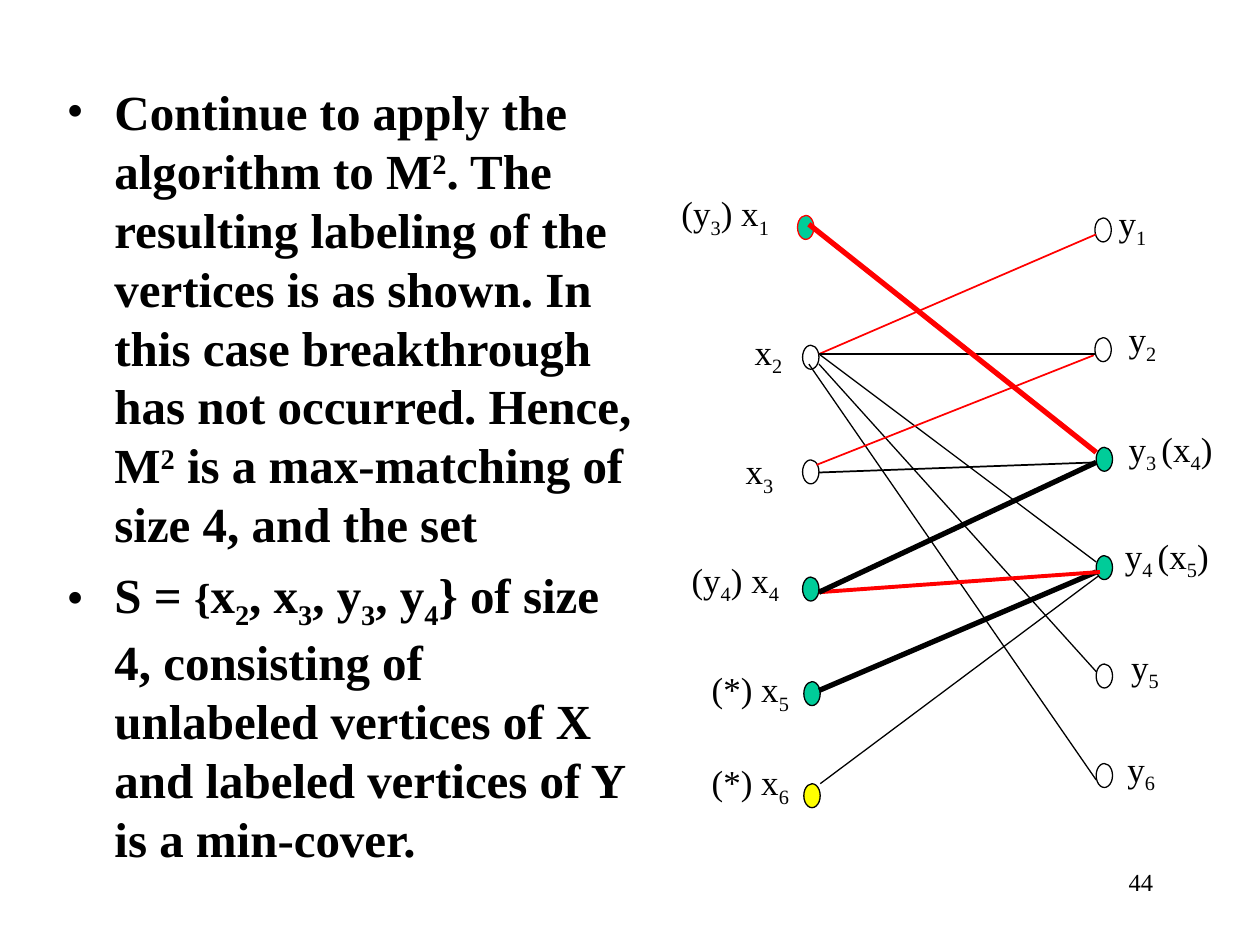
from dataclasses import dataclass
from lxml.etree import SubElement
from pptx import Presentation
from pptx.dml.color import RGBColor
from pptx.enum.shapes import MSO_CONNECTOR, MSO_SHAPE
from pptx.enum.text import PP_ALIGN
from pptx.oxml.ns import qn
from pptx.util import Inches, Pt


@dataclass(frozen=True)
class Theme:
    """Colours, font and type sizes of the slide."""
    font: str = "Times New Roman"
    ink: str = "000000"
    red: str = "FF0000"
    green: str = "00CC99"
    yellow: str = "FFFF00"
    body: int = 28
    brace: int = 24
    label: int = 20
    number: int = 14


T = Theme()
BASELINES = {"^": "30000", "_": "-25000"}
GRID = 0.1

BULLETS = [
    "Continue to apply the algorithm to M|^2|. The resulting labeling of the "
    "vertices is as shown. In this case breakthrough has not occurred. Hence, "
    "M|^2| is a max-matching of size 4, and the set",
    "S = |~{|x|_2|, x|_3|, y|_3|, y|_4|} of size 4, consisting of unlabeled "
    "vertices of X and labeled vertices of Y is a min-cover.",
]

NODES = [
    (13.3, 7.1, T.green, T.red), (13.7, 17.4, None, T.ink),
    (13.7, 26.5, None, T.ink), (13.7, 35.8, T.green, T.ink),
    (13.8, 44.1, T.green, T.ink), (13.8, 52.2, T.yellow, T.ink),
    (36.9, 7.3, None, T.ink), (36.9, 16.8, None, T.ink),
    (37, 25.5, T.green, T.ink), (37, 34.1, T.green, T.ink),
    (37, 42.7, None, T.ink), (37, 50.6, None, T.ink),
]

LABELS = [
    (3.1, 4.7, "(y|_3|) x|_1"), (8.9, 15.7, "x|_2"), (8.2, 25.2, "x|_3"),
    (3.9, 33.8, "(y|_4|) x|_4"), (5.5, 42.5, "(*) x|_5"), (5.5, 49.9, "(*) x|_6"),
    (37.8, 5.5, "y|_1"), (38.6, 14.7, "y|_2"), (38.6, 23.4, "y|_3 |(x|_4|)"),
    (38.3, 31.9, "y|_4 |(x|_5|)"), (38.8, 40.7, "y|_5"), (38.5, 48.8, "y|_6"),
]

EDGES = [
    (15, 18.1, 37, 8.6, T.red, 1), (15, 18.1, 37, 34.6, T.ink, 0.75),
    (15, 18.9, 37, 43.3, T.ink, 0.75), (14.2, 18.9, 37, 51.9, T.ink, 0.75),
    (14.8, 26.9, 36.8, 18.2, T.red, 1), (15, 27.5, 37, 26.7, T.ink, 1),
    (15.1, 52.2, 37.2, 35.7, T.ink, 0.75), (15, 18.1, 37, 18.1, T.ink, 1),
    (15, 44.8, 37, 35.4, T.ink, 3), (15, 37, 37.3, 35.4, T.red, 2.25),
    (15, 37, 37, 26.7, T.ink, 3), (14.2, 7.8, 37, 25.9, T.red, 3),
]


def rgb(color):
    """Turn a hex string into a colour."""
    return RGBColor.from_string(color)


def add_bullet(p, indent):
    """Give a paragraph a hanging bullet."""
    pPr = p._p.get_or_add_pPr()
    pPr.set("marL", str(Inches(indent)))
    pPr.set("indent", str(-Inches(indent)))
    SubElement(pPr, qn("a:buFont"), typeface=T.font)
    SubElement(pPr, qn("a:buChar"), char="•")


def add_text(s, box, paragraphs, size, bold=False, align=PP_ALIGN.LEFT,
             bullet=0, before=0):
    """Place text whose segments split at bars; ^ raises, _ lowers, ~ shrinks."""
    tf = s.shapes.add_textbox(*map(Inches, box)).text_frame
    tf.word_wrap = True
    for i, text in enumerate(paragraphs):
        p = tf.add_paragraph() if i else tf.paragraphs[0]
        p.alignment = align
        if i:
            p.space_before = Pt(before)
        if bullet:
            add_bullet(p, bullet)
        for segment in text.split("|"):
            mark = segment[0]
            r = p.add_run()
            r.text = segment[1:] if mark in "^_~" else segment
            r.font.name, r.font.bold = T.font, bold
            r.font.size = Pt(T.brace if mark == "~" else size)
            r.font.color.rgb = rgb(T.ink)
            if mark in BASELINES:
                r._r.get_or_add_rPr().set("baseline", BASELINES[mark])


def add_node(s, box, fill, line):
    """Draw one vertex of the graph."""
    sp = s.shapes.add_shape(MSO_SHAPE.OVAL, *map(Inches, box))
    sp.shadow.inherit = False
    if fill:
        sp.fill.solid()
        sp.fill.fore_color.rgb = rgb(fill)
    else:
        sp.fill.background()
    sp.line.color.rgb = rgb(line)
    sp.line.width = Pt(0.75)


def add_edge(s, ends, color, width):
    """Draw one edge of the graph."""
    c = s.shapes.add_connector(MSO_CONNECTOR.STRAIGHT, *map(Inches, ends))
    c.line.color.rgb = rgb(color)
    c.line.width = Pt(width)
    SubElement(c._element.spPr, qn("a:effectLst"))


def add_graph(s, left, top):
    """Draw the labeled bipartite graph on a grid from its top left corner."""
    def at(col, row):
        return left + col * GRID, top + row * GRID

    for col, row, fill, line in NODES:
        add_node(s, (*at(col, row), 1.3 * GRID, 1.9 * GRID), fill, line)
    for col, row, text in LABELS:
        add_text(s, (*at(col, row), 11 * GRID, 4.8 * GRID), [text], T.label)
    for x1, y1, x2, y2, color, width in EDGES:
        add_edge(s, (*at(x1, y1), *at(x2, y2)), color, width)


def main():
    """Build and save the slide."""
    prs = Presentation()
    prs.slide_width, prs.slide_height = Inches(10), Inches(7.5)
    s = prs.slides.add_slide(prs.slide_layouts[6])
    add_text(s, (0.43, 0.6, 4.72, 6.38), BULLETS, T.body, bold=True,
             bullet=0.38, before=7)
    add_graph(s, 5, 1)
    add_text(s, (7.17, 6.83, 2.08, 0.5), ["44"], T.number, align=PP_ALIGN.RIGHT)
    prs.save("out.pptx")


if __name__ == "__main__":
    main()
